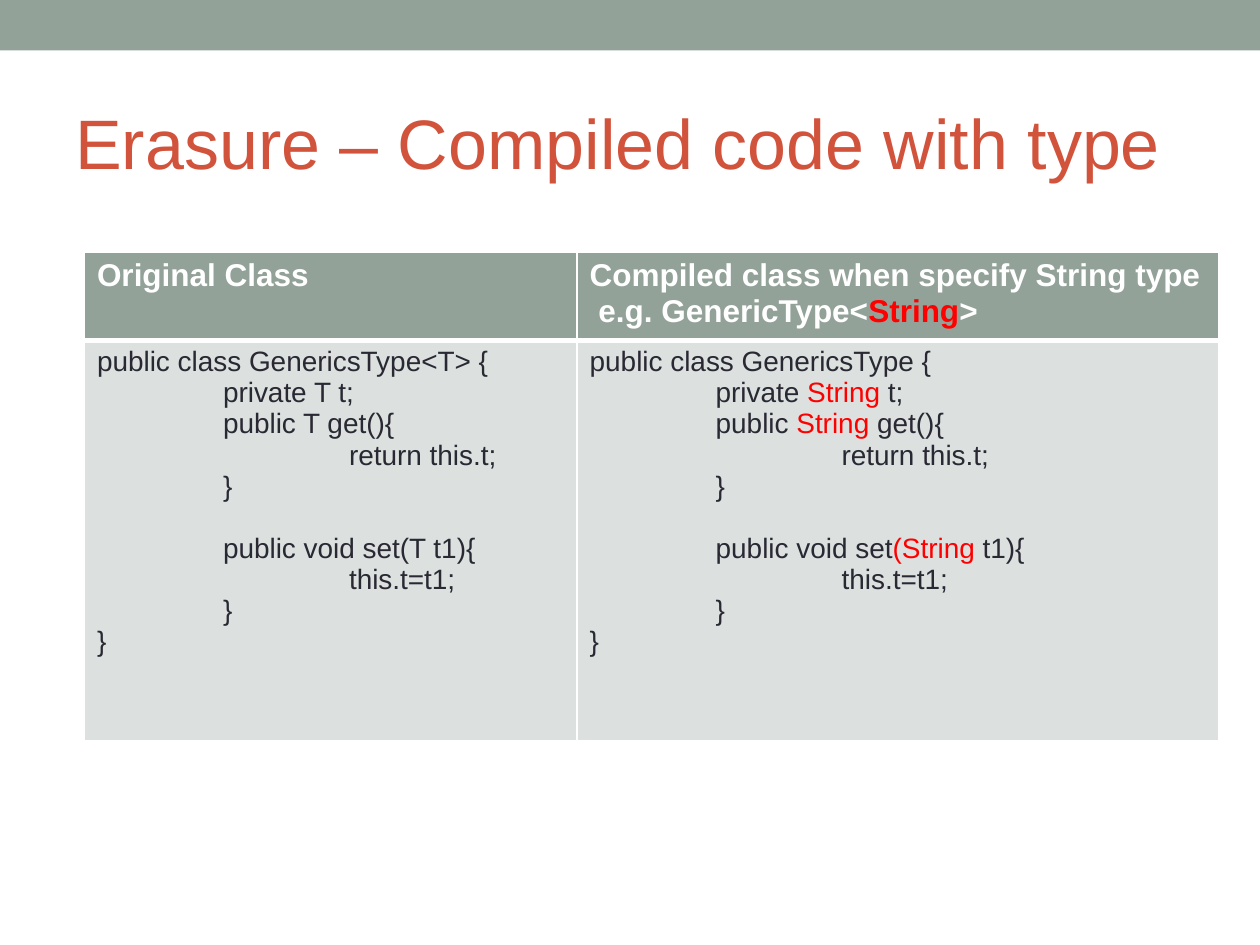
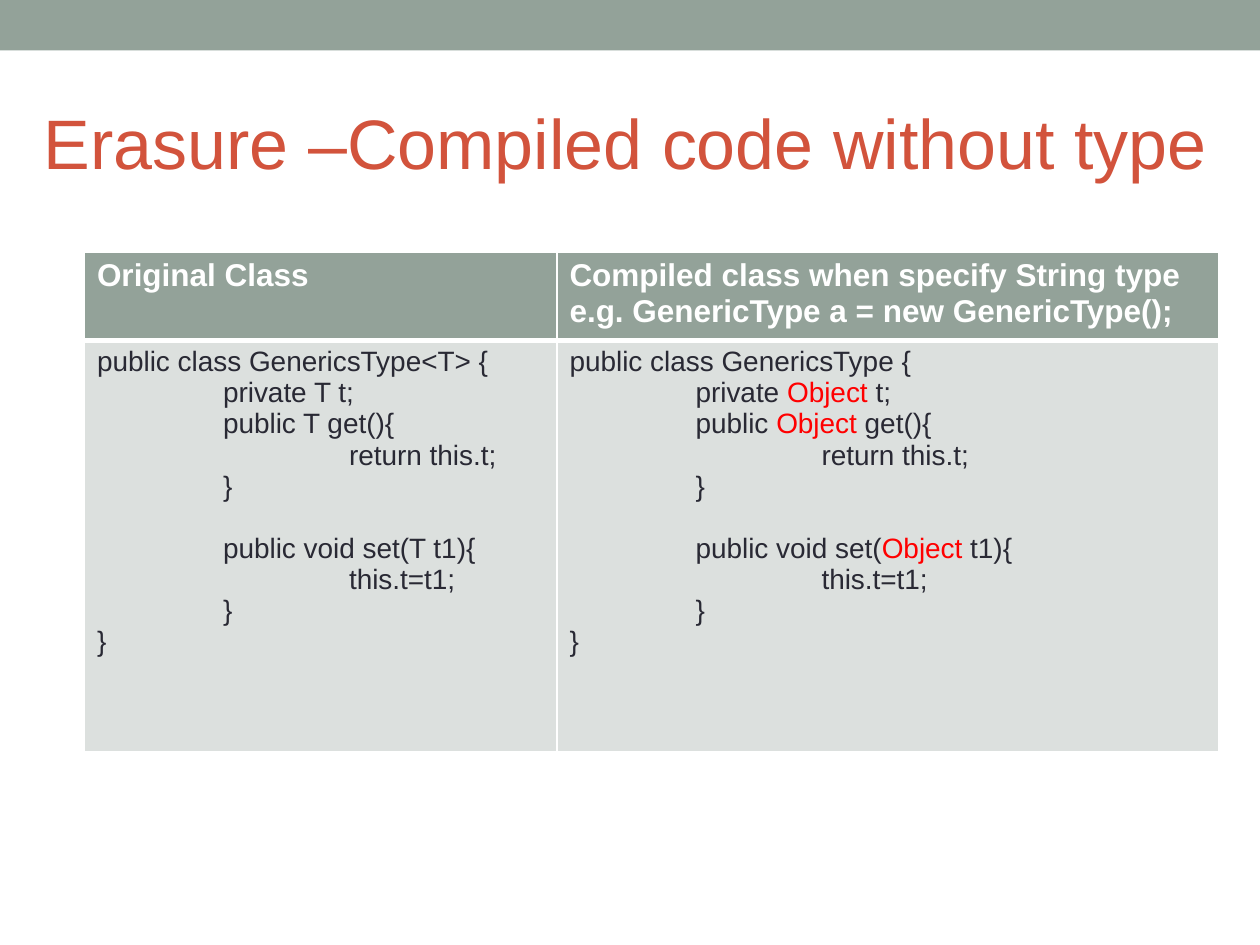
from lxml import etree
from pptx import Presentation
from pptx.dml.color import RGBColor
from pptx.enum import shapes, text
from pptx.oxml.ns import qn
from pptx.util import Inches, Pt

FONT = "Arial"
SAGE, RUST, INK, GREY = "93A299", "D2533C", "292934", "DCE0DE"
WHITE, RED = "FFFFFF", "FF0000"

# Text between bars is shown in red.
CODE = """public class GenericsType{param} {{
\tprivate {kind} t;
\tpublic {kind} get(){{
\t\treturn this.t;
\t}}

\tpublic void set{arg} t1){{
\t\tthis.t=t1;
\t}}
}}"""
GENERIC = CODE.format(param="<T>", kind="T", arg="(T")


def color(code):
    return RGBColor.from_string(code)


def style(font, size, code, bold=False):
    font.name, font.size, font.bold = FONT, Pt(size), bold
    font.color.rgb = color(code)


def add_band(slide, left, top, width, height):
    band = slide.shapes.add_shape(
        shapes.MSO_SHAPE.RECTANGLE, left, top, width, height)
    band.shadow.inherit = False
    band.fill.solid()
    band.fill.fore_color.rgb = color(SAGE)
    band.line.fill.background()


def add_title(slide, title, left, top, width, height):
    box = slide.shapes.add_textbox(left, top, width, height)
    frame = box.text_frame
    frame.word_wrap = True
    frame.vertical_anchor = text.MSO_ANCHOR.MIDDLE
    frame.margin_left = frame.margin_right = Inches(0.1)
    frame.margin_top = frame.margin_bottom = Inches(0.1)
    frame.text = title
    style(frame.paragraphs[0].runs[0].font, 40, RUST)


def set_edges(cell, **widths):
    """Draw white cell borders; widths are points by side."""
    props = cell._tc.get_or_add_tcPr()
    for spot, side in enumerate("LRTB"):
        line = etree.Element(qn("a:ln" + side), w=str(Pt(widths.get(side, 1))))
        fill = etree.SubElement(line, qn("a:solidFill"))
        etree.SubElement(fill, qn("a:srgbClr"), val=WHITE)
        props.insert(spot, line)


def set_tabs(para):
    """Put tab stops one inch apart."""
    stops = etree.SubElement(para._p.get_or_add_pPr(), qn("a:tabLst"))
    for inch in (1, 2):
        etree.SubElement(stops, qn("a:tab"), pos=str(Inches(inch)), algn="l")


def fill_cell(cell, words, size, ink, back, bold=False):
    cell.fill.solid()
    cell.fill.fore_color.rgb = color(back)
    frame = cell.text_frame
    for row, line in enumerate(words.split("\n")):
        para = frame.paragraphs[0] if row == 0 else frame.add_paragraph()
        if line.startswith("\t"):
            set_tabs(para)
        style(para.font, size, ink, bold)
        for part, piece in enumerate(line.split("|")):
            for turn, chunk in enumerate(piece.split("\v")):
                if turn:
                    para.add_line_break()
                run = para.add_run()
                run.text = chunk
                style(run.font, size, RED if part % 2 else ink, bold)


def add_code(slide, heads, codes, left, top, widths, heights):
    table = slide.shapes.add_table(
        2, 2, left, top, sum(widths), sum(heights)).table
    for row, height in zip(table.rows, heights):
        row.height = height
    for col, width in enumerate(widths):
        table.columns[col].width = width
        head, body = table.cell(0, col), table.cell(1, col)
        fill_cell(head, heads[col], 18, WHITE, SAGE, bold=True)
        fill_cell(body, codes[col], 16, INK, GREY)
        set_edges(head, B=3)
        set_edges(body, T=3)


def add_page(deck, title, left, width, split, depth, note, code):
    slide = deck.slides.add_slide(deck.slide_layouts[6])
    add_band(slide, 0, 0, deck.slide_width, Inches(0.4))
    add_title(slide, title, Inches(left), Inches(0.58),
              Inches(width), Inches(1.08))
    heads = "Original Class", "Compiled class when specify String type\v" + note
    for_head = Inches(0.54)
    add_code(slide, heads, (GENERIC, code), Inches(0.67), Inches(2),
             (Inches(split), Inches(9 - split)), (for_head, Inches(depth)))


def main():
    deck = Presentation()
    deck.slide_width, deck.slide_height = Inches(10), Inches(7.5)
    add_page(deck, "Erasure – Compiled code with type", 0.5, 9, 3.91, 3.18,
             " e.g. GenericType<|String|>",
             CODE.format(param="", kind="|String|", arg="|(String|"))
    add_page(deck, "Erasure –Compiled code without type", 0.25, 9.75, 3.75, 3.27,
             "e.g. GenericType a = new GenericType();",
             CODE.format(param="", kind="|Object|", arg="(|Object|"))
    deck.save("out.pptx")


if __name__ == "__main__":
    main()
